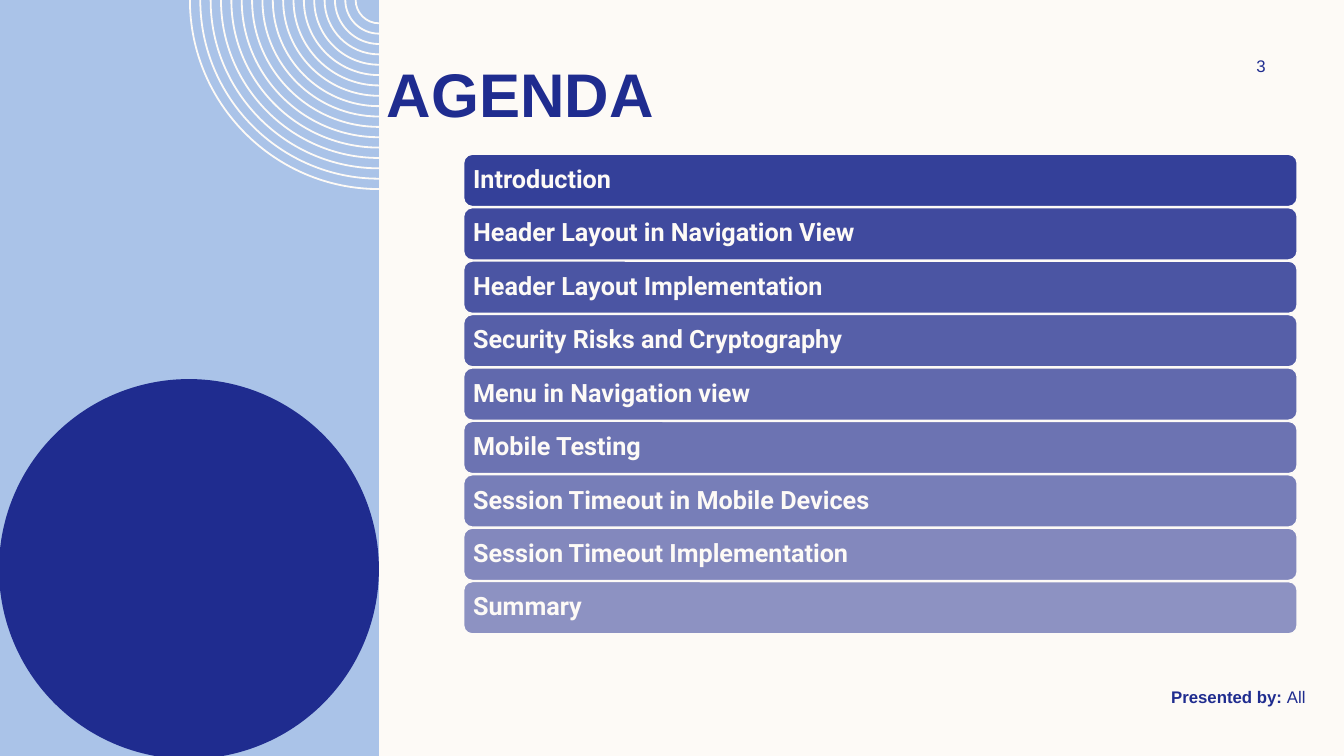
from lxml import etree
from pptx import Presentation
from pptx.dml.color import RGBColor
from pptx.enum.shapes import MSO_SHAPE as SHAPE
from pptx.enum.text import MSO_ANCHOR as ANCHOR, PP_ALIGN as ALIGN
from pptx.oxml.ns import qn
from pptx.util import Pt

NAVY, SKY, CREAM = "1F2C8F", "AAC3E8", "FDFAF6"
TOPICS = [
    "Introduction",
    "Header Layout in Navigation View",
    "Header Layout Implementation",
    "Security Risks and Cryptography",
    "Menu in Navigation view",
    "Mobile Testing",
    "Session Timeout in Mobile Devices",
    "Session Timeout Implementation",
    "Summary",
]


def paint(fill, color):
    fill.solid()
    fill.fore_color.rgb = RGBColor.from_string(color)


def set_font(font, size, color, bold=False, name="Arial"):
    font.size, font.bold, font.name = Pt(size), bold, name
    font.color.rgb = RGBColor.from_string(color)


def style(sp, color):
    sp.shadow.inherit = False
    paint(sp.fill, color)
    sp.line.fill.background()
    return sp


def add_filled(s, kind, x, y, w, h, color):
    return style(s.shapes.add_shape(kind, Pt(x), Pt(y), Pt(w), Pt(h)), color)


def add_text(s, x, y, w, h, text, size, bold=False, align=ALIGN.LEFT, anchor=ANCHOR.MIDDLE):
    tf = s.shapes.add_textbox(Pt(x), Pt(y), Pt(w), Pt(h)).text_frame
    tf.word_wrap, tf.vertical_anchor = True, anchor
    p = tf.paragraphs[0]
    p.text, p.alignment = text, align
    set_font(p.font, size, NAVY, bold)
    return tf


def quarter(cx, cy, radius):
    k = 0.55 * radius
    offsets = [(-radius, 0), (-radius, k), (-k, radius), (0, radius)]
    return [(Pt(cx + dx), Pt(cy + dy)) for dx, dy in offsets]


def merge_curve(lines):
    curve = etree.Element(qn("a:cubicBezTo"))
    lines[0].addprevious(curve)
    for line in lines:
        curve.append(line[0])
        line.getparent().remove(line)


def add_rings(s, cx, cy, radius, count=17, pitch=7.4, band=1.3):
    builder = s.shapes.build_freeform(*quarter(cx, cy, radius)[0], scale=1.0)
    for i in range(count):
        outer = radius - i * pitch
        points = quarter(cx, cy, outer) + quarter(cx, cy, outer - band)[::-1]
        if i:
            builder.move_to(*points[0])
        builder.add_line_segments(points[1:], close=True)
    sp = style(builder.convert_to_shape(), CREAM)
    lines = list(sp._element.iter(qn("a:lnTo")))
    for start in range(0, len(lines), 7):
        merge_curve(lines[start:start + 3])
        merge_curve(lines[start + 4:start + 7])


def add_side_panel(s, x, y, w, h):
    add_filled(s, SHAPE.RECTANGLE, x, y, w, h, SKY)
    add_rings(s, x + w, y, w / 2)
    add_filled(s, SHAPE.OVAL, x, y + h - w, w, w, NAVY)


def add_agenda(s, x, y, w, h, topics, gap=0.8):
    pitch = (h + gap) / len(topics)
    for i, topic in enumerate(topics):
        sp = add_filled(s, SHAPE.ROUNDED_RECTANGLE, x, y + i * pitch, w, pitch - gap, NAVY)
        color = sp.fill._xPr.find(qn("a:solidFill"))[0]
        etree.SubElement(color, qn("a:alpha"), val=str((90 - 5 * i) * 1000))
        paint(sp.line.fill, CREAM)
        sp.line.width = Pt(1)
        tf = sp.text_frame
        tf.margin_left = tf.margin_right = tf.margin_top = tf.margin_bottom = Pt(5)
        tf.word_wrap, tf.vertical_anchor = True, ANCHOR.MIDDLE
        p = tf.paragraphs[0]
        p.text, p.alignment, p.line_spacing = topic, ALIGN.LEFT, 0.9
        set_font(p.font, 18, CREAM, True, "Roboto")


def add_heading(s, x, y, w, h):
    tf = add_text(s, x, y, w, h, "AGENDA", 44, True, anchor=ANCHOR.TOP)
    tf.margin_top = Pt(8.6)


def add_presenter(s, x, y, w, h):
    tf = add_text(s, x, y, w, h, "Presented by: ", 12, align=ALIGN.RIGHT)
    p = tf.paragraphs[0]
    p.runs[0].font.bold = True
    r = p.add_run()
    r.text = "All"


def main():
    prs = Presentation()
    prs.slide_width, prs.slide_height = Pt(960), Pt(540)
    s = prs.slides.add_slide(prs.slide_layouts[6])
    paint(s.background.fill, CREAM)
    add_side_panel(s, -0.7, 0, 271.4, 542.2)
    add_text(s, 861.8, 36, 77.8, 21.6, "3", 12, align=ALIGN.CENTER)
    add_heading(s, 269.3, 31.7, 615.6, 60.5)
    add_presenter(s, 687.6, 486.7, 252, 21.6)
    add_agenda(s, 331.2, 110.2, 595.4, 342.6, TOPICS)
    prs.save("out.pptx")


if __name__ == "__main__":
    main()
